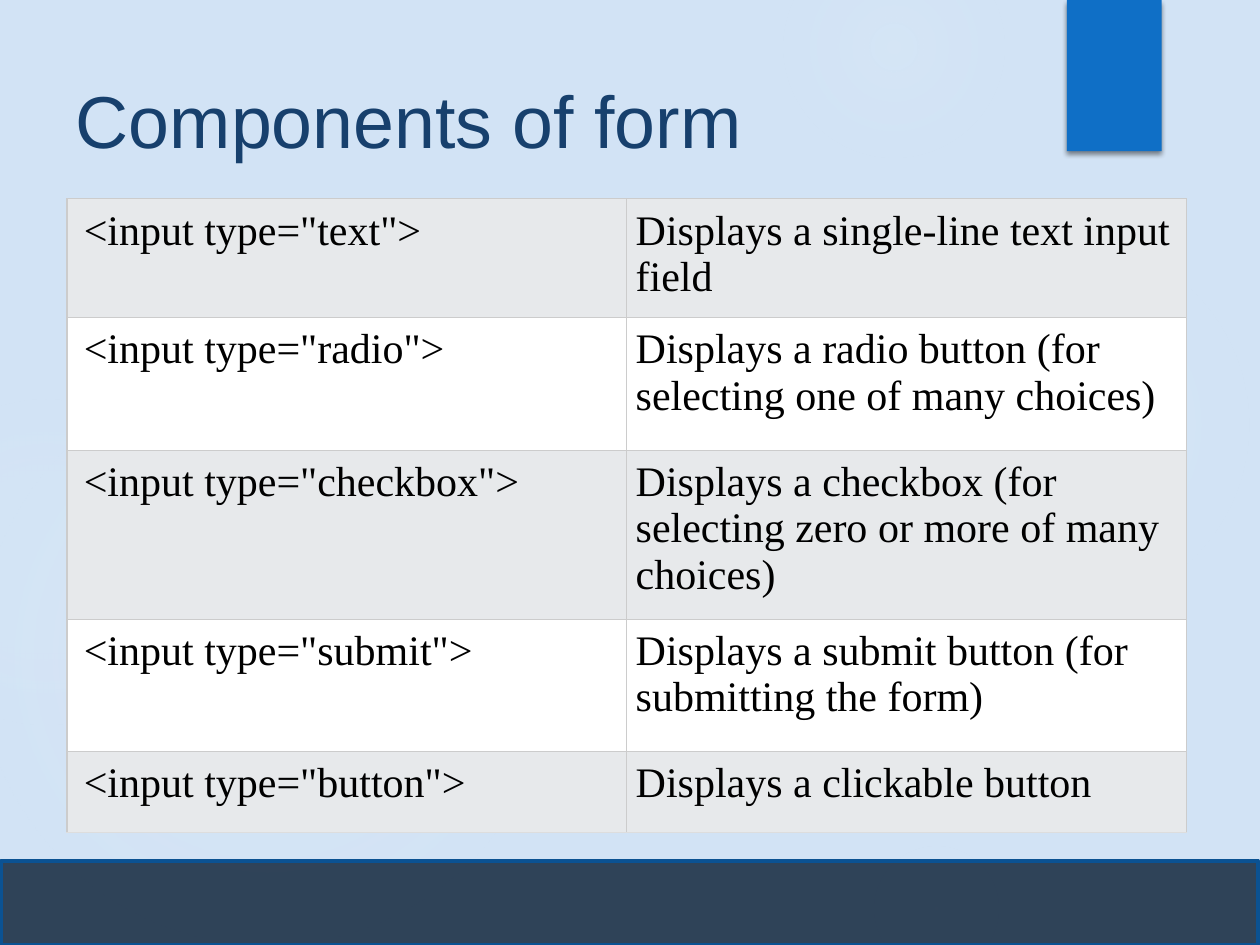
import pptx
import pptx.util
import pptx.dml.color
import pptx.enum.shapes
import pptx.enum.text
import pptx.oxml
import pptx.oxml.ns

Cm = pptx.util.Cm
Pt = pptx.util.Pt
RGBColor = pptx.dml.color.RGBColor
SHAPE = pptx.enum.shapes.MSO_SHAPE
ANCHOR = pptx.enum.text.MSO_ANCHOR

PALE_BLUE = RGBColor(0xD2, 0xE3, 0xF5)
GLOW = RGBColor(0xE9, 0xF5, 0xFB)
BLUE = RGBColor(0x0F, 0x6F, 0xC6)
NAVY = RGBColor(0x0C, 0x20, 0x36)
BAND_EDGE = RGBColor(0x0B, 0x52, 0x92)
TITLE_BLUE = RGBColor(0x17, 0x40, 0x6D)
BLACK = RGBColor(0, 0, 0)
WHITE = RGBColor(0xFF, 0xFF, 0xFF)
GREY = RGBColor(0xE7, 0xE9, 0xEB)
BORDER = RGBColor(0xCC, 0xCC, 0xCC)
BOTTOM_BORDER = RGBColor(0xDD, 0xDD, 0xDD)

GLOWS = [
    ((17.5, 4.65, 7.82, 7.82), ((0, 7), (36, 6), (69, 0))),
    ((15.8, -1.27, 4.45, 4.45), ((0, 14), (36, 7), (73, 0))),
    ((17.5, 16.94, 2.74, 2.74), ((0, 9), (36, 5), (66, 0))),
    ((-0.43, 7.42, 11.63, 11.63), ((0, 11), (36, 10), (75, 0))),
    ((-2.34, 8.05, 6.55, 6.55), ((0, 8), (36, 8), (72, 0))),
]
COMPONENTS = [
    ('<input type="text">', "Displays a single-line text input field"),
    ('<input type="radio">', "Displays a radio button (for selecting one of many choices)"),
    ('<input type="checkbox">', "Displays a checkbox (for selecting zero or more of many choices)"),
    ('<input type="submit">', "Displays a submit button (for submitting the form)"),
    ('<input type="button">', "Displays a clickable button"),
]
ROW_HEIGHTS = [1.63, 2.67, 2.67, 2.67, 1.63]
TITLE_FONT = {"name": "Arial", "size": Pt(42)}
CELL_FONT = {"name": "Times New Roman", "size": Pt(24)}


def set_all(target, values):
    for key, value in values.items():
        setattr(target, key, value)


def set_font(font, values, color):
    set_all(font, values)
    font.color.rgb = color


def xml(tag, attributes, content=""):
    return pptx.oxml.parse_xml(
        f'<a:{tag} {pptx.oxml.ns.nsdecls("a")} {attributes}>{content}</a:{tag}>')


def color_xml(color, alpha=100):
    return f'<a:srgbClr val="{color}"><a:alpha val="{alpha * 1000}"/></a:srgbClr>'


def add_plain(slide, kind, box, color):
    shape = slide.shapes.add_shape(kind, *map(Cm, box))
    shape.shadow.inherit = False
    shape.fill.solid()
    shape.fill.fore_color.rgb = color
    shape.line.fill.background()
    return shape


def replace_fill(shape, fill):
    properties = shape.fill._xPr
    properties.replace(properties.find(pptx.oxml.ns.qn("a:solidFill")), fill)


def add_glow(slide, box, stops):
    glow = add_plain(slide, SHAPE.OVAL, box, GLOW)
    stop_list = "".join(f'<a:gs pos="{position * 1000}">{color_xml(GLOW, alpha)}</a:gs>'
                        for position, alpha in stops)
    replace_fill(glow, xml("gradFill", 'rotWithShape="1"',
        f'<a:gsLst>{stop_list}</a:gsLst><a:path path="circle">'
        '<a:fillToRect l="50000" t="50000" r="50000" b="50000"/></a:path>'))


def add_ribbon(slide, box):
    ribbon = add_plain(slide, SHAPE.RECTANGLE, box, BLUE)
    effects = ribbon._element.spPr.find(pptx.oxml.ns.qn("a:effectLst"))
    effects.append(xml("outerShdw",
        f'blurRad="{Pt(3)}" dist="{Pt(2)}" dir="5400000" rotWithShape="0"',
        color_xml(BLACK, 45)))


def add_footer_band(slide, box):
    band = add_plain(slide, SHAPE.RECTANGLE, box, NAVY)
    replace_fill(band, xml("solidFill", "", color_xml(NAVY, 82)))
    band.line.color.rgb = BAND_EDGE
    band.line.width = Pt(2.25)


def add_title(slide, box, text):
    frame = slide.shapes.add_textbox(*map(Cm, box)).text_frame
    set_all(frame, {"word_wrap": True, "vertical_anchor": ANCHOR.TOP,
                    "margin_left": Cm(0.18), "margin_top": Cm(0.25)})
    frame.text = text
    set_font(frame.paragraphs[0].font, TITLE_FONT, TITLE_BLUE)


def set_borders(cell, bottom):
    edges = {"lnL": BORDER, "lnR": BORDER, "lnT": BORDER, "lnB": bottom}
    for index, (edge, color) in enumerate(edges.items()):
        cell._tc.get_or_add_tcPr().insert(index, xml(
            edge, f'w="{Pt(0.75)}"', f"<a:solidFill>{color_xml(color)}</a:solidFill>"))


def add_components_table(slide, box, components):
    table = slide.shapes.add_table(len(components), 2, *map(Cm, box)).table
    set_all(table, {"first_row": False, "horz_banding": False})
    for row, height in zip(table.rows, ROW_HEIGHTS):
        row.height = Cm(height)
    for row_index, texts in enumerate(components):
        bottom = BOTTOM_BORDER if row_index == len(components) - 1 else BORDER
        for column_index, text in enumerate(texts):
            cell = table.cell(row_index, column_index)
            set_all(cell, {"text": text, "vertical_anchor": ANCHOR.TOP,
                           "margin_left": Cm(0.18 if column_index else 0.34),
                           "margin_right": Cm(0.18), "margin_top": Cm(0.18),
                           "margin_bottom": Cm(0.18)})
            cell.fill.solid()
            cell.fill.fore_color.rgb = WHITE if row_index % 2 else GREY
            set_borders(cell, bottom)
            set_font(cell.text_frame.paragraphs[0].runs[0].font, CELL_FONT, BLACK)


def main():
    presentation = pptx.Presentation()
    set_all(presentation, {"slide_width": Cm(25.4), "slide_height": Cm(19.05)})
    slide = presentation.slides.add_slide(presentation.slide_layouts[6])
    slide.background.fill.solid()
    slide.background.fill.fore_color.rgb = PALE_BLUE
    for box, stops in GLOWS:
        add_glow(slide, box, stops)
    add_ribbon(slide, (21.51, 0, 1.91, 3.05))
    add_footer_band(slide, (0.03, 17.35, 25.33, 1.7))
    add_title(slide, (1.35, 1.27, 19.6, 3.89), "Components of form")
    add_components_table(slide, (1.35, 4.01, 22.57, sum(ROW_HEIGHTS)), COMPONENTS)
    presentation.save("out.pptx")


if __name__ == "__main__":
    main()
